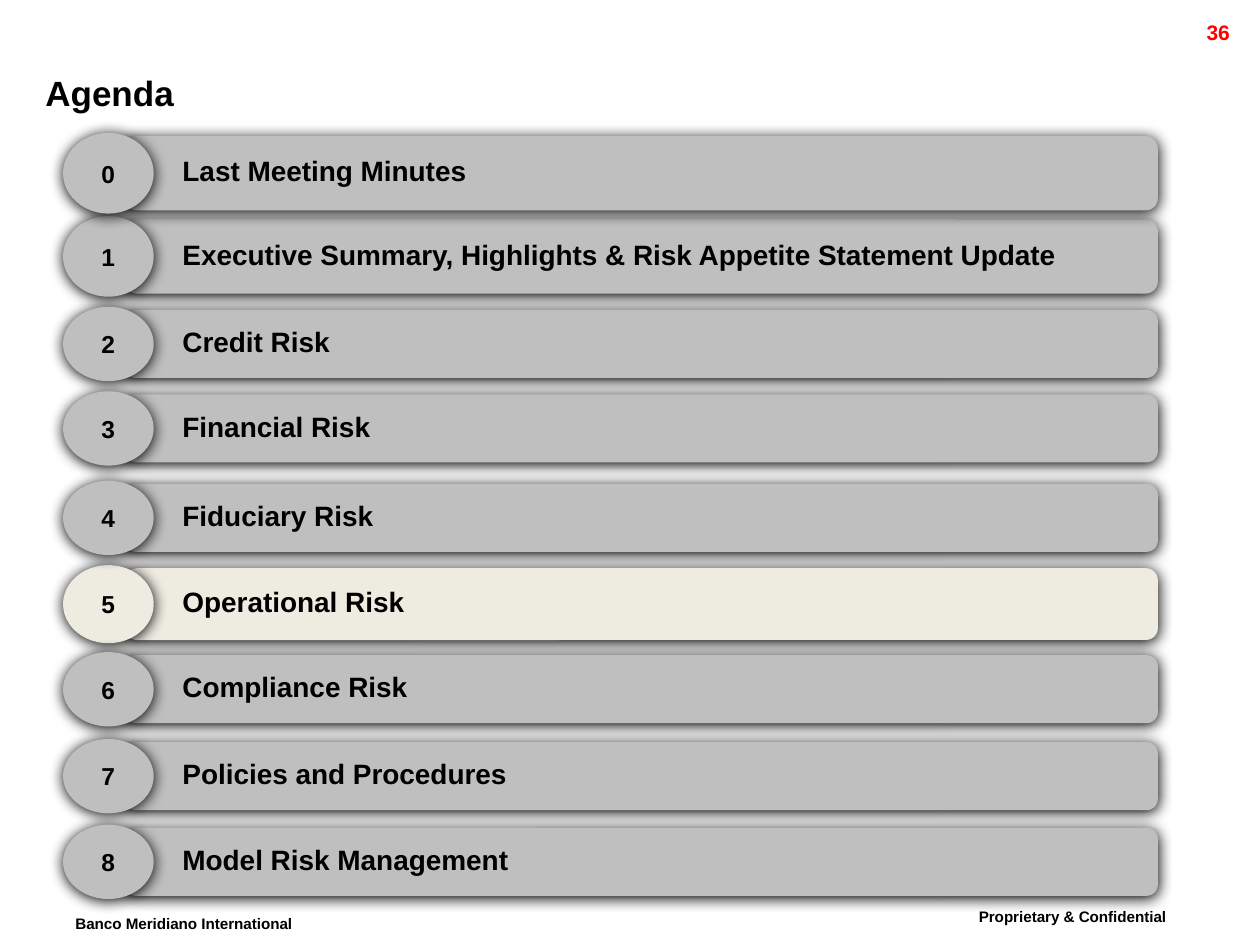
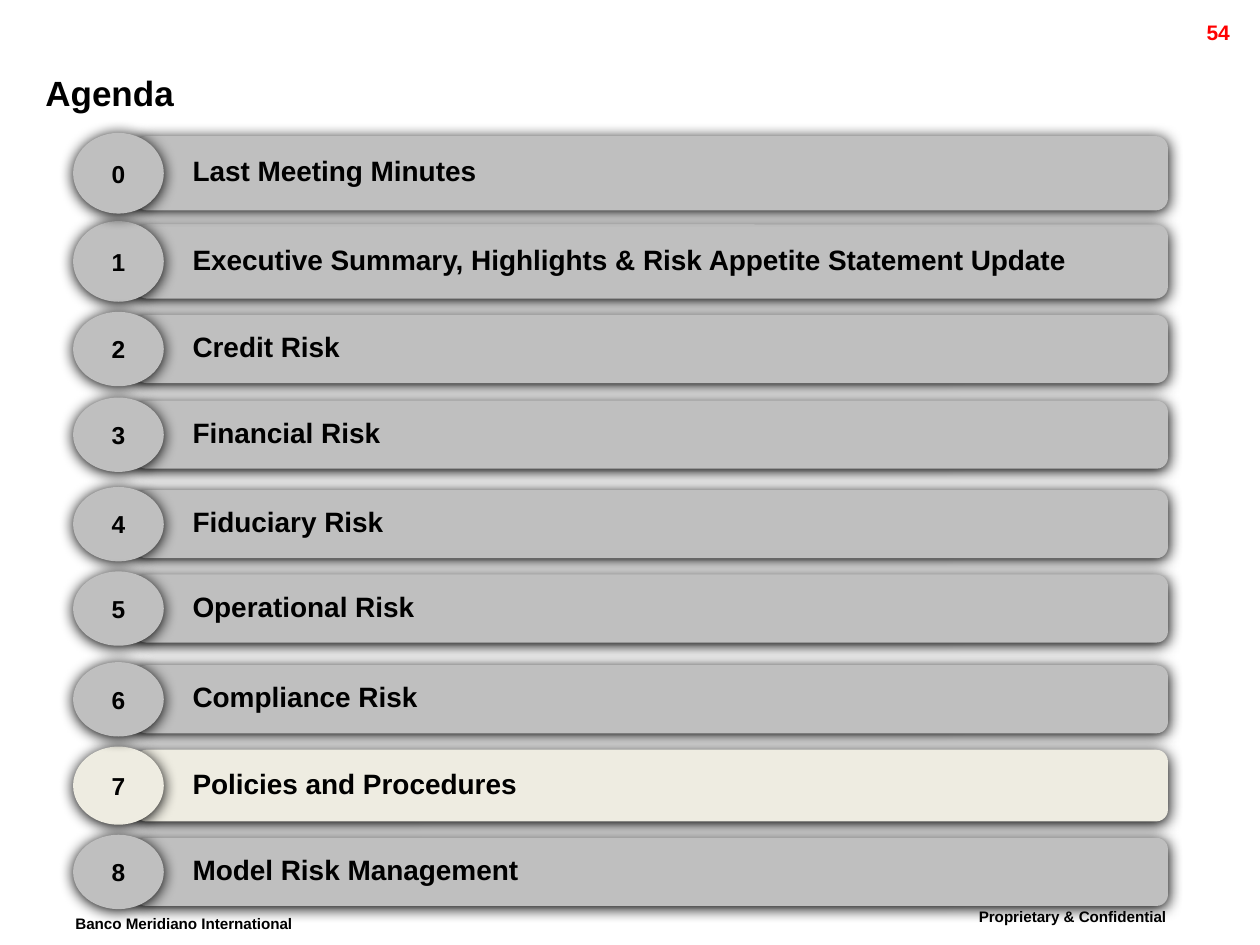
from dataclasses import dataclass

from lxml import etree
from pptx import Presentation
from pptx.dml.color import RGBColor
from pptx.enum.shapes import MSO_SHAPE
from pptx.enum.text import MSO_ANCHOR, MSO_AUTO_SIZE, PP_ALIGN
from pptx.oxml.ns import qn
from pptx.util import Inches, Pt

ROUNDED, OVAL = MSO_SHAPE.ROUNDED_RECTANGLE, MSO_SHAPE.OVAL
LEFT, CENTER, RIGHT = PP_ALIGN.LEFT, PP_ALIGN.CENTER, PP_ALIGN.RIGHT
TOP, MIDDLE = MSO_ANCHOR.TOP, MSO_ANCHOR.MIDDLE

# Content
TITLE = "Agenda"
COMPANY = "Banco Meridiano International"
NOTICE = "Proprietary & Confidential"
TOPICS = [
    "Last Meeting Minutes",
    "Executive Summary, Highlights & Risk Appetite Statement Update",
    "Credit Risk",
    "Financial Risk",
    "Fiduciary Risk",
    "Operational Risk",
    "Compliance Risk",
    "Policies and Procedures",
    "Model Risk Management",
]
AGENDAS = [
    {"page": "36", "active": 5, "left": 0.5,
     "tops": [1.08, 1.74, 2.46, 3.13, 3.84, 4.51, 5.2, 5.89, 6.57]},
    {"page": "54", "active": 7, "left": 0.58,
     "tops": [1.08, 1.78, 2.5, 3.18, 3.89, 4.56, 5.28, 5.95, 6.65]},
]


@dataclass(frozen=True)
class Theme:
    font: str = "Arial"
    ink: str = "000000"
    page: str = "FF0000"
    background: str = "FFFFFF"
    bar: str = "BFBFBF"
    active_bar: str = "EEECE1"
    title_size: int = 20
    topic_size: int = 16
    footer_size: int = 15
    badge_size: int = 14
    page_size: int = 12


THEME = Theme()

# Row geometry in inches
OPENING_ROWS = 2
OPENING_HEIGHT, ACTIVE_HEIGHT, ROW_HEIGHT = 0.59, 0.57, 0.54
BAR_OFFSET, BAR_WIDTH = 0.49, 8.2
LABEL_OFFSET, LABEL_WIDTH = 0.85, 8.14
BADGE_WIDTH, BADGE_OVERHANG = 0.72, 0.025
NUMBER_WIDTH, NUMBER_HEIGHT = 0.4, 0.32


def inches(box):
    return [Inches(length) for length in box]


def write(frame, text, size, color=THEME.ink, align=LEFT, anchor=TOP):
    frame.word_wrap = True
    frame.auto_size = MSO_AUTO_SIZE.NONE
    frame.vertical_anchor = anchor
    paragraph = frame.paragraphs[0]
    paragraph.text = text
    paragraph.alignment = align
    font = paragraph.font
    font.name, font.size, font.bold = THEME.font, Pt(size), True
    font.color.rgb = RGBColor.from_string(color)
    return paragraph


def add_text(shapes, box, text, size, **style):
    return write(shapes.add_textbox(*inches(box)).text_frame, text, size, **style)


def add_raised_shape(shapes, kind, box, color):
    shape = shapes.add_shape(kind, *inches(box))
    shape.fill.solid()
    shape.fill.fore_color.rgb = RGBColor.from_string(color)
    shape.line.fill.background()
    shape.shadow.inherit = False
    effects = shape._element.spPr.find(qn("a:effectLst"))
    shadow = etree.SubElement(effects, qn("a:outerShdw"), blurRad=str(Pt(8.5)),
                              dist=str(Pt(1)), dir="5400000", rotWithShape="0")
    etree.SubElement(shadow, qn("a:srgbClr"), val=THEME.ink)


def add_frame(slide, page):
    """Title, page number and footers shared by all slides."""
    title = slide.shapes.title
    title.left, title.top, title.width, title.height = inches((0.36, 0.49, 9.02, 0.48))
    frame = title.text_frame
    frame.margin_left = frame.margin_top = frame.margin_right = frame.margin_bottom = 0
    write(frame, TITLE, THEME.title_size, anchor=MIDDLE)

    add_text(slide.shapes, (8.91, 0.11, 0.95, 0.24), page, THEME.page_size,
             color=THEME.page, align=RIGHT)
    for text, box in ((NOTICE, (7.67, 7.13, 2.18, 0.35)),
                      (COMPANY, (0.5, 7.18, 2.23, 0.35))):
        footer = add_text(slide.shapes, box, text, THEME.footer_size)
        footer.runs[0].font._element.set("baseline", "30000")


def add_row(slide, agenda, number):
    """One topic: bar, label and numbered badge."""
    active = number == agenda["active"]
    color = THEME.active_bar if active else THEME.bar
    height = (ACTIVE_HEIGHT if active
              else OPENING_HEIGHT if number < OPENING_ROWS else ROW_HEIGHT)
    left, top = agenda["left"], agenda["tops"][number]
    shapes = slide.shapes.add_group_shape().shapes

    add_raised_shape(shapes, ROUNDED, (left + BAR_OFFSET, top, BAR_WIDTH, height), color)
    add_text(shapes, (left + LABEL_OFFSET, top + 0.01, LABEL_WIDTH, height - 0.06),
             TOPICS[number], THEME.topic_size, anchor=MIDDLE)
    add_raised_shape(shapes, OVAL, (left, top - BADGE_OVERHANG, BADGE_WIDTH,
                                    height + 2 * BADGE_OVERHANG), color)
    add_text(shapes, (left + (BADGE_WIDTH - NUMBER_WIDTH) / 2,
                      top + (height - NUMBER_HEIGHT) / 2, NUMBER_WIDTH, NUMBER_HEIGHT),
             str(number), THEME.badge_size, align=CENTER, anchor=MIDDLE)


def main():
    presentation = Presentation()
    presentation.slide_width, presentation.slide_height = Inches(10), Inches(7.5)
    background = presentation.slide_master.background.fill
    background.solid()
    background.fore_color.rgb = RGBColor.from_string(THEME.background)
    title_only = presentation.slide_layouts.get_by_name("Title Only")

    for agenda in AGENDAS:
        slide = presentation.slides.add_slide(title_only)
        add_frame(slide, agenda["page"])
        # The active row lies at the back and the first row in front
        stacking = sorted(range(len(TOPICS)),
                          key=lambda number: (number != agenda["active"], number == 0))
        for number in stacking:
            add_row(slide, agenda, number)

    presentation.save("out.pptx")


if __name__ == "__main__":
    main()
